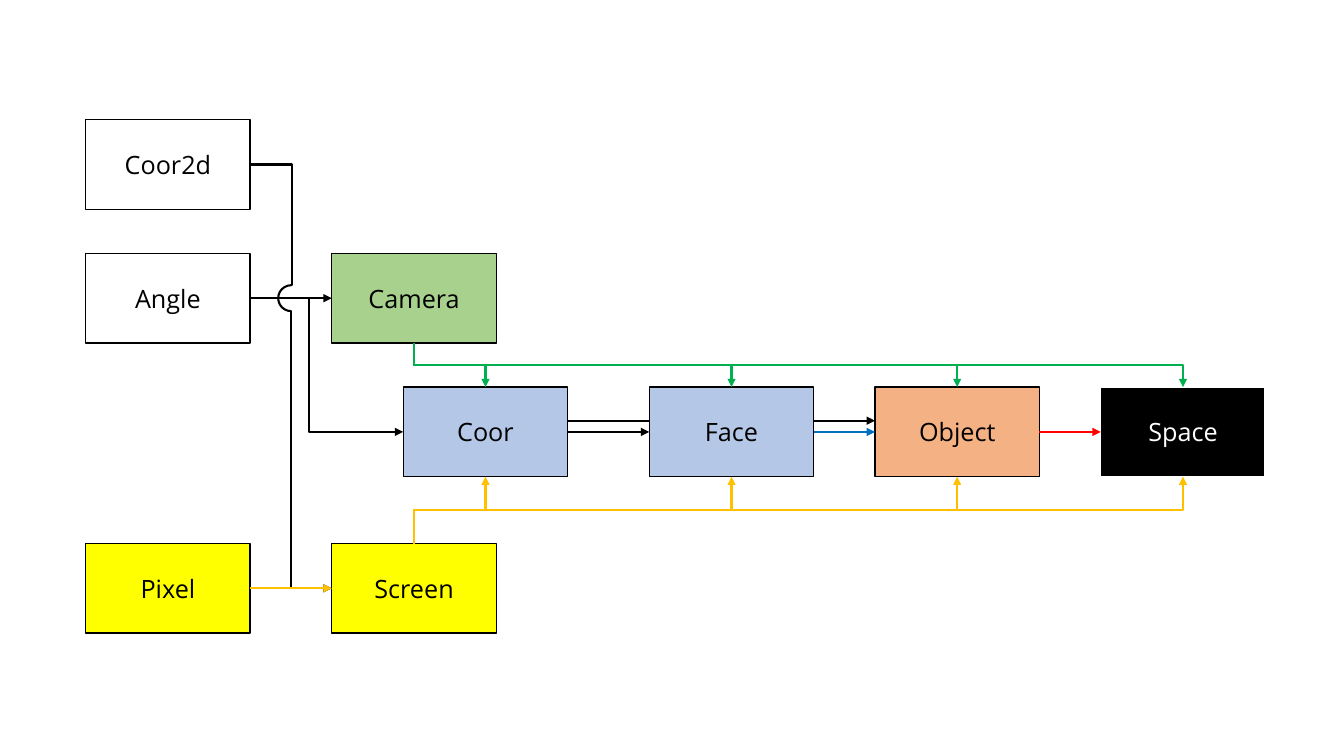
"""Build a slide showing how the classes of a 3D engine depend on each other."""
from lxml.etree import SubElement
from pptx import Presentation
from pptx.dml.color import RGBColor
from pptx.enum.shapes import MSO_CONNECTOR as Connector, MSO_SHAPE as Shape
from pptx.enum.text import MSO_ANCHOR as Anchor, PP_ALIGN as Align
from pptx.oxml.ns import qn
from pptx.util import Pt

BLACK = RGBColor(0x00, 0x00, 0x00)
WHITE = RGBColor(0xFF, 0xFF, 0xFF)
YELLOW = RGBColor(0xFF, 0xFF, 0x00)
LIGHT_BLUE = RGBColor(0xB4, 0xC7, 0xE7)
LIGHT_GREEN = RGBColor(0xA9, 0xD1, 0x8E)
LIGHT_ORANGE = RGBColor(0xF4, 0xB1, 0x83)
BLUE = RGBColor(0x00, 0x70, 0xC0)
RED = RGBColor(0xFF, 0x00, 0x00)
GREEN = RGBColor(0x00, 0xB0, 0x50)
GOLD = RGBColor(0xFF, 0xC0, 0x00)

BOX_WIDTH, BOX_HEIGHT = 117.5, 64
INPUT_LEFT, VIEW_LEFT, COOR_LEFT = 61.2, 237, 288
FACE_LEFT, OBJECT_LEFT, SPACE_LEFT = 463.75, 625, 786.25
COOR2D_TOP, ANGLE_TOP, CHAIN_TOP, PIXEL_TOP = 85.5, 181, 276.5, 388.25
INPUT_RIGHT = INPUT_LEFT + BOX_WIDTH
COOR_RIGHT = COOR_LEFT + BOX_WIDTH
VIEW_CENTER = VIEW_LEFT + BOX_WIDTH / 2
COOR2D_MIDDLE, ANGLE_MIDDLE, CHAIN_MIDDLE, PIXEL_MIDDLE = [
    top + BOX_HEIGHT / 2 for top in (COOR2D_TOP, ANGLE_TOP, CHAIN_TOP, PIXEL_TOP)]
UPPER_LANE = CHAIN_MIDDLE - 8
BRIDGE_X, BRIDGE_RADIUS = 208, 9.25

presentation = Presentation()
presentation.slide_width, presentation.slide_height = Pt(960), Pt(540)
slide = presentation.slides.add_slide(presentation.slide_layouts[6])


def add_box(text, left, top, fill, color=BLACK, outline=BLACK, size=18, font="Open Sans"):
    box = slide.shapes.add_shape(
        Shape.RECTANGLE, Pt(left), Pt(top), Pt(BOX_WIDTH), Pt(BOX_HEIGHT))
    box.shadow.inherit = False
    box.fill.solid()
    box.fill.fore_color.rgb = fill
    box.line.color.rgb = outline
    box.line.width = Pt(1)
    box.text_frame.vertical_anchor = Anchor.MIDDLE
    paragraph = box.text_frame.paragraphs[0]
    paragraph.alignment = Align.CENTER
    run = paragraph.add_run()
    run.text = text
    run.font.name = font
    run.font.size = Pt(size)
    run.font.color.rgb = color


def add_line(x1, y1, x2, y2, color=BLACK, bend=None, vertical=False, arrow=True):
    if vertical:
        center_x, center_y = (x1 + x2) / 2, (y1 + y2) / 2
        half_width, half_height = abs(y2 - y1) / 2, (x2 - x1) / 2
        turn = 1 if y2 < y1 else -1
        x1, x2 = center_x + half_width, center_x - half_width
        y1, y2 = center_y + turn * half_height, center_y - turn * half_height
    kind = Connector.STRAIGHT if bend is None else Connector.ELBOW
    line = slide.shapes.add_connector(kind, Pt(x1), Pt(y1), Pt(x2), Pt(y2))
    line.line.color.rgb = color
    line.line.width = Pt(1.5)
    properties = line._element.spPr
    if vertical:
        properties.find(qn("a:xfrm")).set("rot", str(turn * 5400000 % 21600000))
    if bend is not None:
        guides = properties.find(qn("a:prstGeom")).find(qn("a:avLst"))
        SubElement(guides, qn("a:gd"), name="adj1", fmla=f"val {round(bend * 100000)}")
    if arrow:
        SubElement(properties.find(qn("a:ln")), qn("a:tailEnd"), type="triangle")
    SubElement(properties, qn("a:effectLst"))


add_line(BRIDGE_X, ANGLE_MIDDLE + BRIDGE_RADIUS, VIEW_LEFT, PIXEL_MIDDLE, bend=0.004)
add_line(INPUT_RIGHT, COOR2D_MIDDLE, BRIDGE_X, ANGLE_MIDDLE - BRIDGE_RADIUS,
         bend=1.013, arrow=False)
bridge = slide.shapes.add_shape(
    Shape.ARC, Pt(BRIDGE_X - BRIDGE_RADIUS), Pt(ANGLE_MIDDLE - BRIDGE_RADIUS),
    Pt(2 * BRIDGE_RADIUS), Pt(2 * BRIDGE_RADIUS))
bridge.rotation = 270
bridge.adjustments[0] = 108
bridge.adjustments[1] = 0
bridge.shadow.inherit = False
bridge.fill.background()
bridge.line.color.rgb = BLACK
bridge.line.width = Pt(1.5)
add_line(COOR_RIGHT, UPPER_LANE, OBJECT_LEFT, UPPER_LANE)

add_box("Coor2d", INPUT_LEFT, COOR2D_TOP, WHITE)
add_box("Angle", INPUT_LEFT, ANGLE_TOP, WHITE)
add_box("Coor", COOR_LEFT, CHAIN_TOP, LIGHT_BLUE)
add_box("Camera", VIEW_LEFT, ANGLE_TOP, LIGHT_GREEN)
add_box("Pixel", INPUT_LEFT, PIXEL_TOP, YELLOW)
add_box("Screen", VIEW_LEFT, PIXEL_TOP, YELLOW)
add_box("Face", FACE_LEFT, CHAIN_TOP, LIGHT_BLUE)
add_box("Object", OBJECT_LEFT, CHAIN_TOP, LIGHT_ORANGE)
add_box("Space", SPACE_LEFT, CHAIN_TOP, BLACK, color=WHITE, outline=WHITE)

for start, end, y, color in (
    (INPUT_RIGHT, VIEW_LEFT, ANGLE_MIDDLE, BLACK),
    (COOR_RIGHT, FACE_LEFT, CHAIN_MIDDLE, BLACK),
    (FACE_LEFT + BOX_WIDTH, OBJECT_LEFT, CHAIN_MIDDLE, BLUE),
    (OBJECT_LEFT + BOX_WIDTH, SPACE_LEFT, CHAIN_MIDDLE, RED),
    (INPUT_RIGHT, VIEW_LEFT, PIXEL_MIDDLE, GOLD),
):
    add_line(start, y, end, y, color)

for left in (COOR_LEFT, FACE_LEFT, OBJECT_LEFT, SPACE_LEFT):
    target = left + BOX_WIDTH / 2
    add_line(VIEW_CENTER, ANGLE_TOP + BOX_HEIGHT, target, CHAIN_TOP,
             GREEN, bend=0.5, vertical=True)
    add_line(VIEW_CENTER, PIXEL_TOP, target, CHAIN_TOP + BOX_HEIGHT,
             GOLD, bend=0.5, vertical=True)

add_line(INPUT_RIGHT, ANGLE_MIDDLE, COOR_LEFT, CHAIN_MIDDLE, bend=0.387)

presentation.save("out.pptx")
